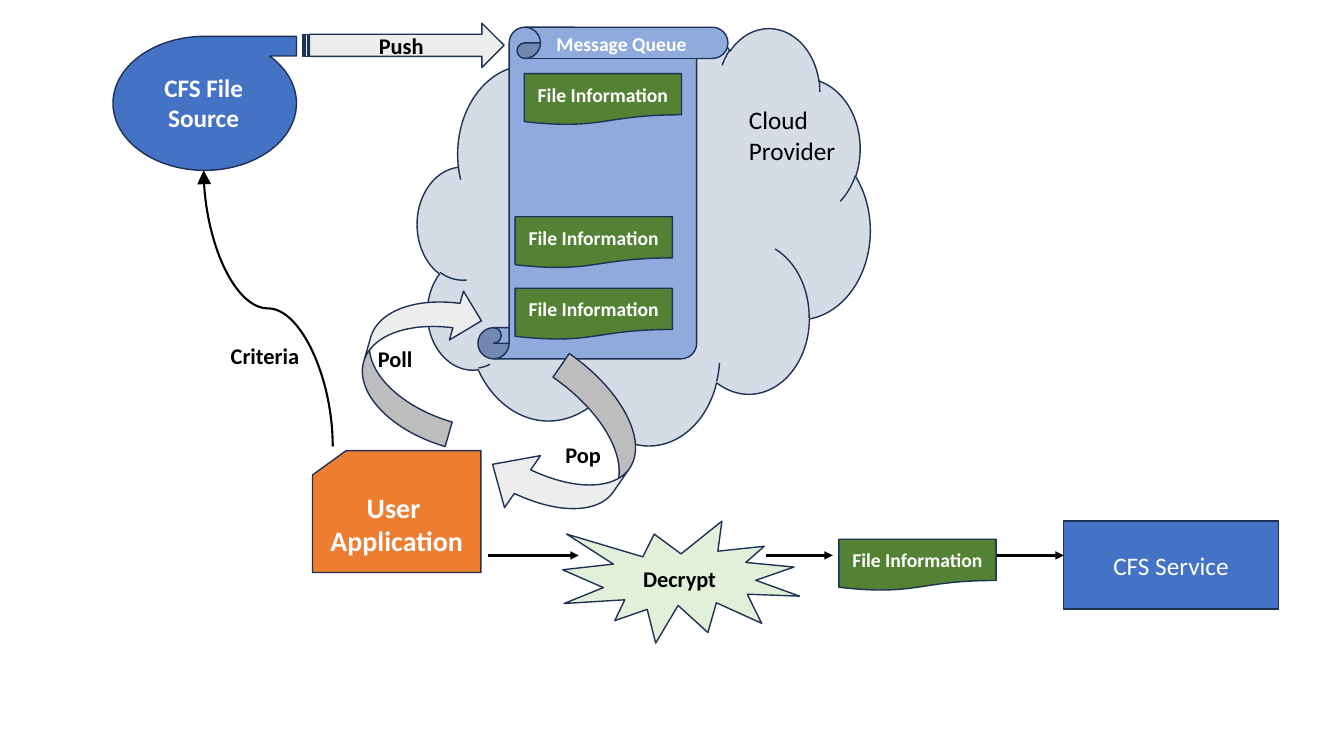
"""Build the file queue diagram slide with python-pptx."""
from pptx import Presentation
from pptx.dml.color import RGBColor
from pptx.enum.shapes import MSO_CONNECTOR as Connector, MSO_SHAPE as Shape
from pptx.enum.text import MSO_ANCHOR as Anchor, MSO_AUTO_SIZE as AutoSize, PP_ALIGN as Align
from pptx.oxml.ns import qn
from pptx.util import Inches, Pt
from lxml.etree import SubElement

FONT = "Calibri"
WHITE = RGBColor(0xFF, 0xFF, 0xFF)
BLACK = RGBColor(0x00, 0x00, 0x00)
OUTLINE = RGBColor(0x1E, 0x32, 0x56)
BLUE = RGBColor(0x44, 0x72, 0xC4)
CLOUD_GREY = RGBColor(0xD6, 0xDC, 0xE5)
QUEUE_BLUE = RGBColor(0x8F, 0xAA, 0xDC)
GREEN = RGBColor(0x54, 0x82, 0x35)
PALE_GREEN = RGBColor(0xE2, 0xF0, 0xD9)
ORANGE = RGBColor(0xED, 0x7D, 0x31)
ARROW_GREY = RGBColor(0xED, 0xED, 0xED)


def write_text(frame, lines, size, color, bold, align):
    """Write each line as a formatted paragraph."""
    frame.word_wrap = True
    for index, line in enumerate(lines):
        paragraph = frame.add_paragraph() if index else frame.paragraphs[0]
        paragraph.alignment = align
        run = paragraph.add_run()
        run.text = line
        run.font.name = FONT
        run.font.size = Pt(size)
        run.font.bold = bold
        run.font.color.rgb = color


def add_block(shapes, kind, box, fill, lines=(), size=16, color=WHITE, bold=True, rotation=0):
    """Add an outlined preset shape with centred text."""
    shape = shapes.add_shape(kind, *map(Inches, box))
    shape.shadow.inherit = False
    shape.fill.solid()
    shape.fill.fore_color.rgb = fill
    shape.line.color.rgb = OUTLINE
    shape.line.width = Pt(1)
    shape.rotation = rotation
    shape.text_frame.vertical_anchor = Anchor.MIDDLE
    write_text(shape.text_frame, lines, size, color, bold, Align.CENTER)
    return shape


def add_label(shapes, box, lines, size=16, color=BLACK, bold=True, align=Align.LEFT):
    """Add a text box that grows with its text."""
    label = shapes.add_textbox(*map(Inches, box))
    write_text(label.text_frame, lines, size, color, bold, align)
    label.text_frame.auto_size = AutoSize.SHAPE_TO_FIT_TEXT


def add_file_information(shapes, left, top):
    """Add one green file information document."""
    add_block(shapes, Shape.FLOWCHART_DOCUMENT, (left, top, 1.56, 0.51), GREEN,
              ["File Information"], 14)


def add_arrow(shapes, kind, ends, width, head="med"):
    """Add a black connector with a triangle at its end."""
    arrow = shapes.add_connector(kind, *map(Inches, ends))
    arrow.line.color.rgb = BLACK
    arrow.line.width = Pt(width)
    line = arrow.line._get_or_add_ln()
    SubElement(line, qn("a:tailEnd"), type="triangle", w=head, len=head)
    SubElement(arrow._element.spPr, qn("a:effectLst"))
    return arrow


def add_source(shapes):
    """Add the grouped file source symbol and its label."""
    group = shapes.add_group_shape().shapes
    tape = add_block(group, Shape.FLOWCHART_SEQUENTIAL_ACCESS_STORAGE,
                     (1.12, 0.36, 1.82, 1.33), BLUE, rotation=180)
    tape._element.spPr.find(qn("a:xfrm")).set("flipH", "1")
    add_label(group, (1.25, 0.67, 1.54, 0.71), ["CFS File Source"], 18, WHITE, align=Align.CENTER)


def add_queue(shapes):
    """Add the cloud with the message queue and its files."""
    add_block(shapes, Shape.CLOUD, (4.14, 0.27, 4.49, 4.14), CLOUD_GREY)
    add_label(shapes, (7.33, 0.99, 1.18, 0.71), ["Cloud", "Provider"], 18, bold=False)
    add_block(shapes, Shape.VERTICAL_SCROLL, (4.74, 0.27, 2.48, 3.29), QUEUE_BLUE)
    add_label(shapes, (5.42, 0.27, 1.67, 0.34), ["Message Queue"], 14, WHITE)
    for left, top in ((5.11, 2.15), (5.11, 2.86), (5.2, 0.73)):
        add_file_information(shapes, left, top)


def add_exchange(shapes):
    """Add the user application and its traffic with queue and source."""
    add_block(shapes, Shape.FLOWCHART_CARD, (3.1, 4.47, 1.67, 1.21), ORANGE,
              ["User ", "Application"], 20)
    add_block(shapes, Shape.CURVED_DOWN_ARROW, (3.37, 3.04, 1.55, 1.01), ARROW_GREY,
              rotation=286.1)
    add_label(shapes, (3.65, 3.38, 0.98, 0.37), ["Poll"])
    pop = add_block(shapes, Shape.CURVED_DOWN_ARROW, (4.82, 3.94, 1.65, 1.14), ARROW_GREY,
                    rotation=124.7)
    for index, value in enumerate((0.25, 0.55, 0.3)):
        pop.adjustments[index] = value
    add_label(shapes, (5.51, 4.33, 0.98, 0.37), ["Pop"])
    add_block(shapes, Shape.STRIPED_RIGHT_ARROW, (3, 0.23, 2, 0.44), ARROW_GREY,
              ["Push"], color=BLACK)
    criteria = add_arrow(shapes, Connector.CURVE, (1.29, 3.7, 4.03, 2.42), 1.5, "lg")
    criteria._element.spPr.find(qn("a:xfrm")).set("rot", str(270 * 60000))
    add_label(shapes, (2.19, 3.35, 1.08, 0.37), ["Criteria"])


def add_delivery(shapes):
    """Add the decryption steps that lead to the service."""
    add_block(shapes, Shape.EXPLOSION1, (5.58, 5.17, 2.35, 1.21), PALE_GREEN,
              ["Decrypt"], color=BLACK)
    add_file_information(shapes, 8.32, 5.35)
    add_block(shapes, Shape.FLOWCHART_PROCESS, (10.55, 5.17, 2.13, 0.87), BLUE,
              ["CFS Service"], 18, bold=False)
    for start, end in ((4.84, 5.74), (7.6, 8.26), (9.89, 10.55)):
        add_arrow(shapes, Connector.STRAIGHT, (start, 5.51, end, 5.51), 2)


def main():
    """Create the presentation and save it."""
    presentation = Presentation()
    presentation.slide_width = Inches(13.33)
    presentation.slide_height = Inches(7.5)
    shapes = presentation.slides.add_slide(presentation.slide_layouts[6]).shapes
    add_source(shapes)
    add_queue(shapes)
    add_exchange(shapes)
    add_delivery(shapes)
    presentation.save("out.pptx")


if __name__ == "__main__":
    main()
